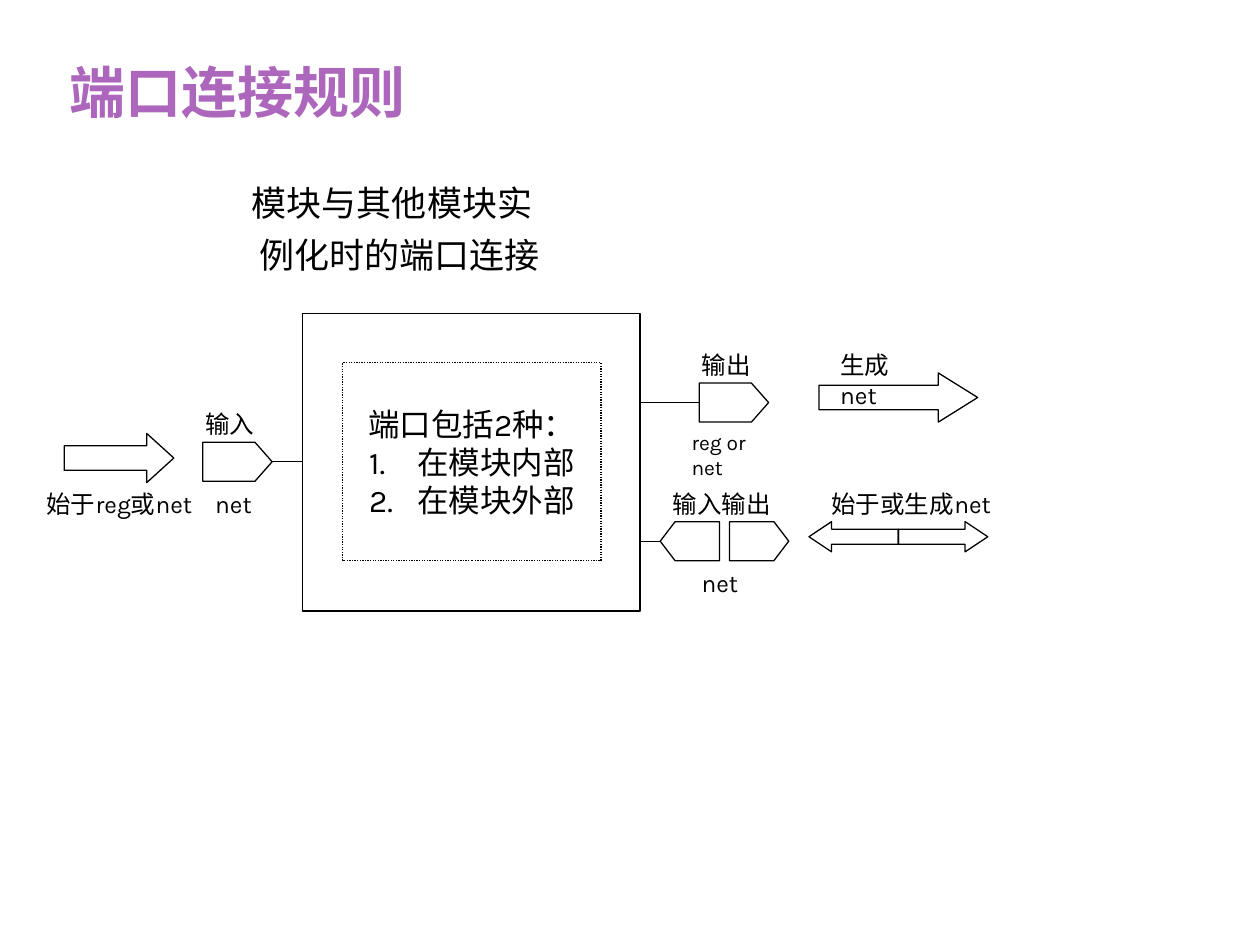
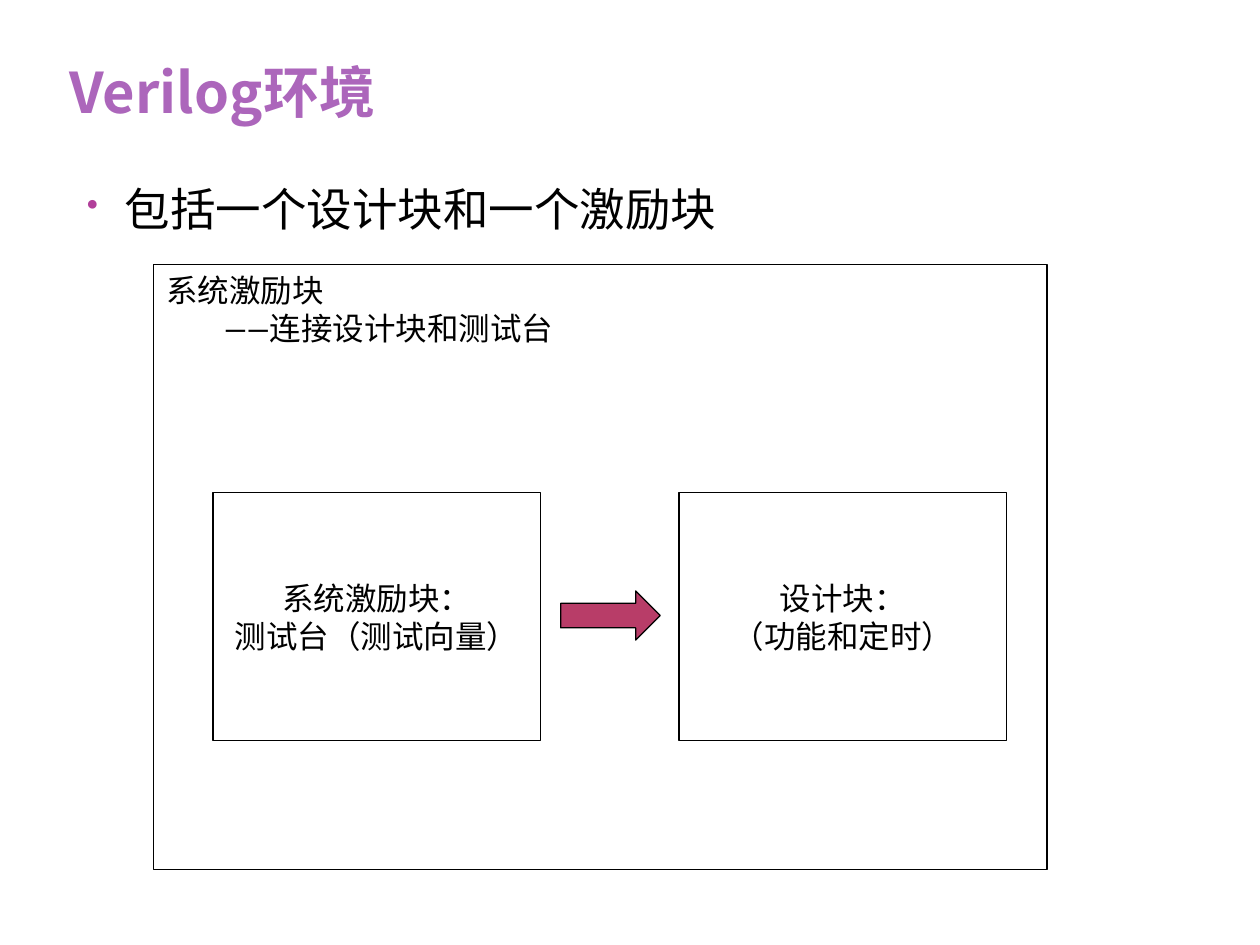
import dataclasses

import pptx
import pptx.dml.color
import pptx.enum.dml
import pptx.enum.shapes
import pptx.enum.text
import pptx.oxml.ns
import pptx.util
from lxml import etree

SHAPE = pptx.enum.shapes.MSO_SHAPE
ALIGN = pptx.enum.text.PP_ALIGN
ANCHOR = pptx.enum.text.MSO_ANCHOR
DOTTED = pptx.enum.dml.MSO_LINE.ROUND_DOT


@dataclasses.dataclass(frozen=True)
class Theme:
    ink: str = "000000"
    title: str = "AC66BB"
    bullet: str = "B13F9A"
    accent: str = "B83D68"
    title_font: str = "Noto Sans CJK SC"
    body_font: str = "Karla"
    title_size: int = 32
    lead_size: int = 26
    intro_size: int = 20
    block_size: int = 18
    label_size: int = 14
    small_size: int = 12
    outline: float = 0.75


THEME = Theme()
COLUMNS, ROWS = 100, 75
LABEL_ABOVE, LABEL_BELOW, LABEL_ROWS = -3.1, 3.2, 3.3
PORT_ROWS, ARROW_ROWS = 3.1, 3.9
BODY = (5.9, 13.9, 79.2, 53)


def cells(*counts):
    return [pptx.util.Inches(count / 10) for count in counts]


def rgb(value):
    return pptx.dml.color.RGBColor.from_string(value)


def apply(target, values):
    for name, value in values.items():
        setattr(target, name, value)


def add_child(parent, tag, **attributes):
    return etree.SubElement(parent, pptx.oxml.ns.qn(tag), attributes)


def write(box, lines, size, font=THEME.body_font, color=THEME.ink, bold=False,
          frame=None, **paragraph):
    inset = {"margin_left": cells(1)[0], "margin_right": cells(1)[0],
             "margin_top": cells(0.5)[0], "margin_bottom": cells(0.5)[0]}
    apply(box.text_frame, {"word_wrap": True, **inset, **(frame or {})})
    for index, line in enumerate(lines):
        para = box.text_frame.paragraphs[0] if index == 0 else box.text_frame.add_paragraph()
        apply(para, {"alignment": ALIGN.LEFT, **paragraph})
        span = para.add_run()
        span.text = line
        apply(span.font, {"name": font, "size": pptx.util.Pt(size), "bold": bold})
        span.font.color.rgb = rgb(color)
        add_child(span.font._element, "a:ea", typeface=font)
    return box.text_frame.paragraphs


def indent(para, margin, first=0):
    properties = para._p.get_or_add_pPr()
    for name, value in zip(("marL", "indent"), cells(margin, first)):
        properties.set(name, str(value))
    return properties


def add_text(page, area, lines, size, **options):
    box = page.shapes.add_textbox(*cells(*area))
    return write(box, lines, size, **options)


def add_title(page, text):
    add_text(page, (5, 3.5, 41.9, 6.4), [text], THEME.title_size,
             font=THEME.title_font, color=THEME.title, bold=True,
             frame={"vertical_anchor": ANCHOR.BOTTOM, "margin_top": 0, "margin_bottom": 0,
                    "margin_left": cells(0.5)[0], "margin_right": cells(0.5)[0]})


def add_label(page, text, column, row, columns=8.7, size=THEME.label_size):
    add_text(page, (column, row, columns, LABEL_ROWS), [text], size)


def add_outline(page, kind, area, fill=None, dash=None, point=None, turn=0):
    box = page.shapes.add_shape(kind, *cells(*area))
    box.shadow.inherit = False
    box.rotation = turn
    if point is not None:
        box.adjustments[len(box.adjustments) - 1] = point
    if fill:
        box.fill.solid()
        box.fill.fore_color.rgb = rgb(fill)
    else:
        box.fill.background()
    box.line.color.rgb = rgb(THEME.ink)
    apply(box.line, {"width": pptx.util.Pt(THEME.outline), "dash_style": dash})
    return box


def add_block(page, area, lines, anchor=ANCHOR.MIDDLE, align=ALIGN.CENTER, wrap=True, dash=None):
    box = add_outline(page, SHAPE.RECTANGLE, area, dash=dash)
    return write(box, lines, THEME.block_size, alignment=align,
                 frame={"vertical_anchor": anchor, "word_wrap": wrap})


def add_port(page, column, row, columns=5.5, point=0.44, turn=0):
    add_outline(page, SHAPE.PENTAGON, (column, row, columns, PORT_ROWS), point=point, turn=turn)


def add_wire(page, start, end, row):
    wire = page.shapes.add_connector(pptx.enum.shapes.MSO_CONNECTOR.STRAIGHT,
                                     *cells(start, row, end, row))
    wire.line.color.rgb = rgb(THEME.ink)
    wire.line.width = pptx.util.Pt(THEME.outline)
    add_child(wire._element.spPr, "a:effectLst")


def build_port_rules(page):
    add_title(page, "端口连接规则")
    intro = add_text(page, BODY, ["模块与其他模块实", "例化时的端口连接"], THEME.intro_size,
                     space_before=pptx.util.Pt(6))
    for para, margin in zip(intro, (13.1, 13.7)):
        indent(para, margin)

    module_left, module_right = 24, 50.8
    add_block(page, (module_left, 24.9, module_right - module_left, 23.6), [])
    kinds = add_block(page, (27.2, 28.8, 20.5, 15.7),
                      ["端口包括2种：", "在模块内部", "在模块外部"], wrap=False, dash=DOTTED)
    for index, para in enumerate(kinds):
        properties = indent(para, 3.8, -3.8)
        if index:
            add_child(properties, "a:buFont", typeface="+mj-lt")
            add_child(properties, "a:buAutoNum", type="arabicPeriod")

    input_row, output_row, inout_row = 35.1, 30.4, 41.4
    add_port(page, 16.1, input_row)
    add_port(page, 55.5, output_row)
    add_port(page, 57.9, inout_row, 4.7, 0.38)
    add_port(page, 52.4, inout_row, 4.7, 0.38, turn=180)
    for start, end, row in ((21.6, module_left, input_row),
                            (module_right, 55.5, output_row),
                            (module_right, 52.4, inout_row)):
        add_wire(page, start, end, row + PORT_ROWS / 2)

    for kind, area, point in (
            (SHAPE.RIGHT_ARROW, (5.1, 34.4, 8.7, ARROW_ROWS), 0.55),
            (SHAPE.RIGHT_ARROW, (65, 29.6, 12.6, ARROW_ROWS), 0.8),
            (SHAPE.RIGHT_ARROW, (71.3, inout_row, 7.1, 2.4), 0.75),
            (SHAPE.LEFT_ARROW, (64.2, inout_row, 7.1, 2.4), 0.75)):
        add_outline(page, kind, area, point=point)

    add_label(page, "始于reg或net", 2.7, input_row + LABEL_BELOW, 15.8)
    add_label(page, "输入", 15.3, input_row + LABEL_ABOVE)
    add_label(page, "net", 16.1, input_row + LABEL_BELOW)
    add_label(page, "输出", 54.7, output_row + LABEL_ABOVE)
    add_label(page, "reg or net", 53.9, output_row + LABEL_BELOW, 9.1, THEME.small_size)
    add_label(page, "生成net", 65.7, output_row + LABEL_ABOVE)
    add_label(page, "输入输出", 52.4, inout_row + LABEL_ABOVE, 10.2)
    add_label(page, "net", 54.7, inout_row + LABEL_BELOW)
    add_label(page, "始于或生成net", 65, inout_row + LABEL_ABOVE, 16.5)


def build_environment(page):
    add_title(page, "Verilog环境")
    lead = add_text(page, BODY, ["包括一个设计块和一个激励块"], THEME.lead_size,
                    space_before=pptx.util.Pt(6))
    properties = indent(lead[0], 3, -3)
    add_child(add_child(properties, "a:buClr"), "a:srgbClr", val=THEME.bullet)
    add_child(properties, "a:buSzPct", val="73000")
    add_child(properties, "a:buChar", char="•")

    system = add_block(page, (12.2, 21, 70.9, 48), ["系统激励块", "——连接设计块和测试台"],
                       anchor=ANCHOR.TOP, align=ALIGN.LEFT)
    indent(system[1], 4.6)
    for column, lines in ((16.9, ["系统激励块：", "测试台（测试向量）"]),
                          (53.9, ["设计块：", "（功能和定时）"])):
        add_block(page, (column, 39.1, 26, 19.7), lines)
    add_outline(page, SHAPE.RIGHT_ARROW, (44.5, 46.9, 7.9, ARROW_ROWS),
                fill=THEME.accent, point=0.5)


def main():
    deck = pptx.Presentation()
    width, height = cells(COLUMNS, ROWS)
    apply(deck, {"slide_width": width, "slide_height": height})
    for build in (build_port_rules, build_environment):
        build(deck.slides.add_slide(deck.slide_layouts[6]))
    deck.save("out.pptx")


if __name__ == "__main__":
    main()
